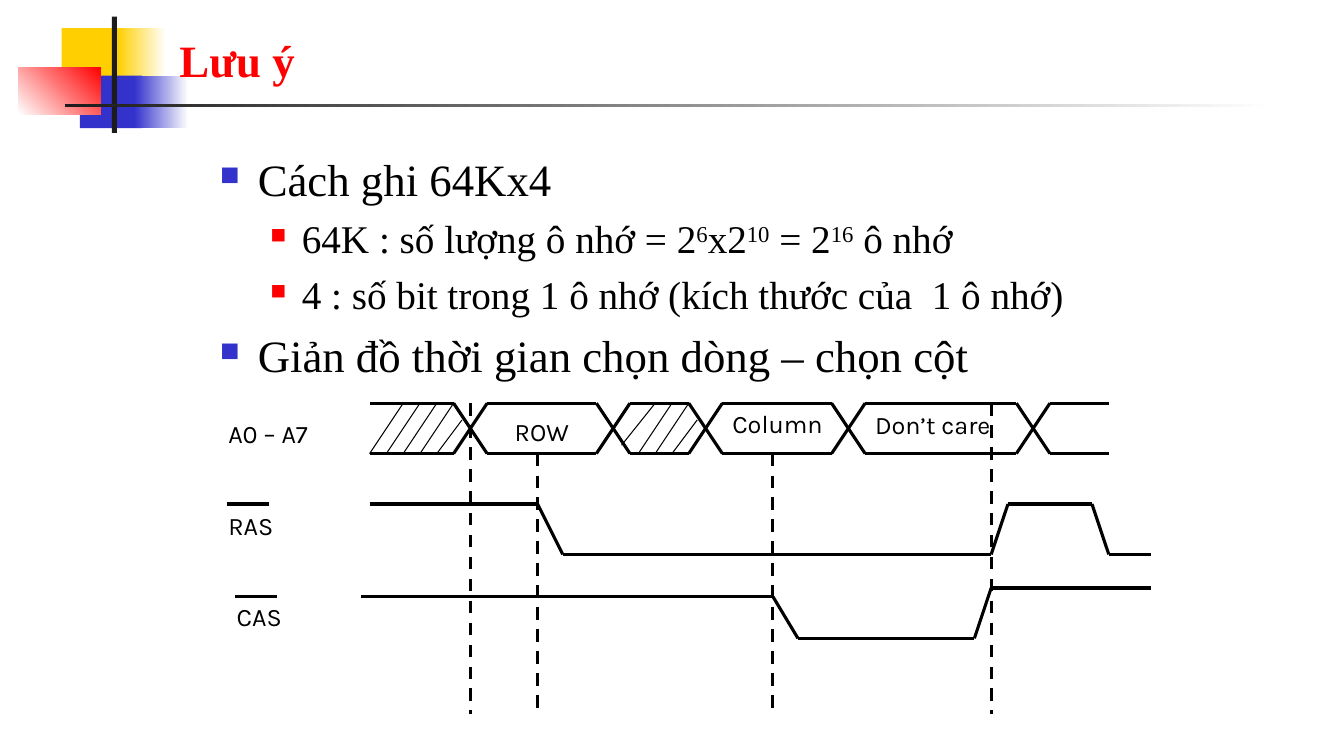
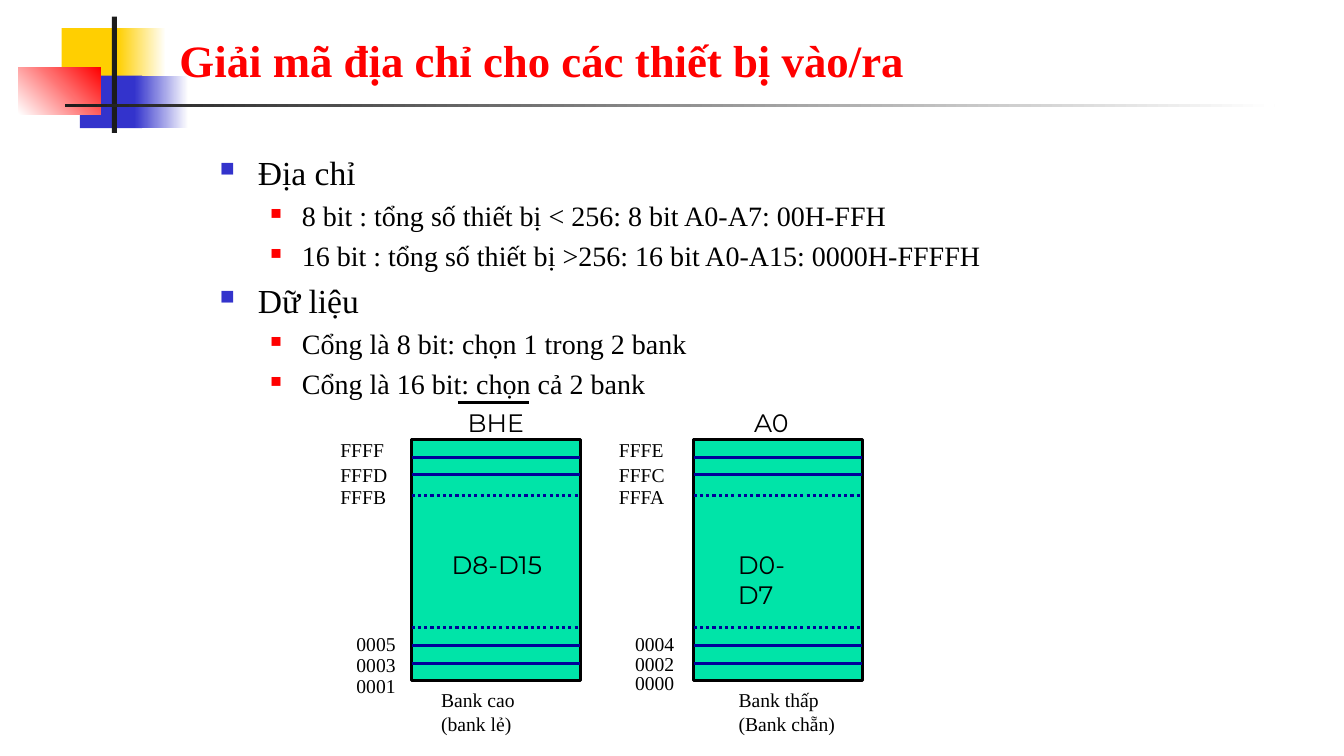
from dataclasses import dataclass
from itertools import pairwise

from lxml import etree
from pptx import Presentation
from pptx.dml.color import RGBColor
from pptx.enum.dml import MSO_LINE
from pptx.enum.shapes import MSO_CONNECTOR, MSO_SHAPE
from pptx.enum.text import MSO_ANCHOR, MSO_AUTO_SIZE, PP_ALIGN
from pptx.oxml.ns import qn
from pptx.util import Pt


@dataclass(frozen=True)
class Theme:
    white: str = "FFFFFF"
    black: str = "000000"
    charcoal: str = "1C1C1C"
    yellow: str = "FFCF01"
    blue: str = "3333CC"
    red: str = "FF0000"
    green: str = "00E4A8"
    navy: str = "000099"
    text_font: str = "Times New Roman"
    signal_font: str = "Karla"
    bank_font: str = "Montserrat"
    title_size: int = 32
    label_size: int = 18
    address_size: int = 14
    thick: float = 2.25
    thin: float = 0.75


@dataclass(frozen=True)
class Level:
    margin: float
    hanging: float
    colour: str
    bullet_percent: int


@dataclass(frozen=True)
class Bank:
    left: float
    select: str
    select_left: float
    data: str
    data_left: float
    data_width: float
    caption: tuple
    caption_left: float
    address_left: float
    high_addresses: tuple
    low_addresses: tuple
    low_step: float


THEME = Theme()
LEVELS = (Level(27, 27, THEME.blue, 60), Level(58.5, 22.5, THEME.red, 55))

BUS_TOP, BUS_BOTTOM = 288, 324
BUS_LEFT, BUS_RIGHT = 264, 792
CROSSINGS = (324, 426, 492, 594, 726)
CROSSING_WIDTH = 24

BANK_TOP, BANK_WIDTH, BANK_HEIGHT = 314, 120.5, 172
SOLID_ROWS = (327, 339, 461, 474)
DOTTED_ROWS = (354, 448.5)
BANKS = (
    Bank(294, "BHE", 327, "D8-D15", 315.5, 84,
         ("Bank cao", "(bank lẻ)"), 308, 236,
         ("FFFF", "FFFD", "FFFB"), ("0005", "0003", "0001"), 15),
    Bank(495.5, "A0", 531.5, "D0-D7", 520, 72.5,
         ("Bank thấp", "(Bank chẵn)"), 520.5, 435,
         ("FFFE", "FFFC", "FFFA"), ("0004", "0002", "0000"), 14),
)


def rgb(colour):
    return RGBColor.from_string(colour)


def style(font, name, size, colour=THEME.black, bold=False):
    font.name, font.size, font.bold = name, Pt(size), bold
    font.color.rgb = rgb(colour)


def add_block(slide, left, top, width, height, *colours, angle=0):
    """Add a borderless rectangle: one colour is solid, two make a gradient."""
    block = slide.shapes.add_shape(
        MSO_SHAPE.RECTANGLE, Pt(left), Pt(top), Pt(width), Pt(height))
    block.shadow.inherit = False
    block.line.fill.background()
    if len(colours) == 1:
        block.fill.solid()
        block.fill.fore_color.rgb = rgb(colours[0])
    else:
        block.fill.gradient()
        block.fill.gradient_angle = angle
        for stop, colour in zip(block.fill.gradient_stops, colours):
            stop.color.rgb = rgb(colour)
    return block


def add_line(slide, start, end, width=THEME.thick, colour=THEME.black, dash=None):
    line = slide.shapes.add_connector(
        MSO_CONNECTOR.STRAIGHT, *(Pt(value) for value in (*start, *end)))
    line.line.width = Pt(width)
    line.line.color.rgb = rgb(colour)
    if dash:
        line.line.dash_style = dash
    etree.SubElement(line.element.spPr, qn("a:effectLst"))


def add_trace(slide, *points):
    for start, end in pairwise(points):
        add_line(slide, start, end)


def add_label(slide, left, top, width, lines, font_name, size, align=PP_ALIGN.LEFT):
    box = slide.shapes.add_textbox(
        Pt(left), Pt(top), Pt(width), Pt(7.2 + 1.2 * size * len(lines)))
    frame = box.text_frame
    frame.word_wrap = True
    for index, line in enumerate(lines):
        paragraph = frame.add_paragraph() if index else frame.paragraphs[0]
        paragraph.alignment = align
        run = paragraph.add_run()
        run.text = line
        style(run.font, font_name, size)


def set_bullet(paragraph, level):
    props = paragraph._p.get_or_add_pPr()
    props.set("marL", str(Pt(level.margin)))
    props.set("indent", str(-Pt(level.hanging)))
    colour = etree.SubElement(props, qn("a:buClr"))
    etree.SubElement(colour, qn("a:srgbClr"), val=level.colour)
    etree.SubElement(props, qn("a:buSzPct"), val=str(level.bullet_percent * 1000))
    etree.SubElement(props, qn("a:buChar"), char="■")


def add_bullets(slide, height, sizes, items):
    """Add items of (level, runs); every second run is a superscript."""
    box = slide.shapes.add_textbox(Pt(150), Pt(105), Pt(675), Pt(height))
    frame = box.text_frame
    frame.word_wrap = True
    for index, (depth, runs) in enumerate(items):
        paragraph = frame.add_paragraph() if index else frame.paragraphs[0]
        paragraph.level = depth
        set_bullet(paragraph, LEVELS[depth])
        if index:
            paragraph.space_before = Pt(round(0.23 * sizes[depth], 1))
        for position, text in enumerate(runs):
            run = paragraph.add_run()
            run.text = text
            style(run.font, THEME.text_font, sizes[depth])
            if position % 2:
                run._r.get_or_add_rPr().set("baseline", "30000")


def decorate_layout(layout, slide):
    """Draw the shared ornament and move it from the slide into its layout."""
    for placeholder in list(layout.placeholders):
        if placeholder.placeholder_format.idx:
            placeholder.element.getparent().remove(placeholder.element)
    ornament = (
        add_block(slide, 44, 20, 46, 37.5, THEME.yellow),
        add_block(slide, 84, 20, 34.5, 37.5, THEME.yellow, THEME.white),
        add_block(slide, 57, 54, 44.5, 37.5, THEME.blue),
        add_block(slide, 96, 54, 38.5, 37.5, THEME.blue, THEME.white),
        add_block(slide, 13, 48, 59, 33.5, THEME.white, THEME.red, angle=45),
        add_block(slide, 80, 12, 3.5, 83, THEME.charcoal),
        add_block(slide, 46.5, 74, 864, 2.25, THEME.charcoal, THEME.white),
    )
    for block in ornament:
        layout.shapes.element.append(block.element)


def set_title(slide, text):
    title = slide.shapes.title
    title.left, title.top, title.width, title.height = Pt(121), Pt(16.5), Pt(818), Pt(49)
    frame = title.text_frame
    frame.auto_size = MSO_AUTO_SIZE.NONE
    frame.vertical_anchor = MSO_ANCHOR.BOTTOM
    paragraph = frame.paragraphs[0]
    paragraph.alignment = PP_ALIGN.LEFT
    run = paragraph.add_run()
    run.text = text
    style(run.font, THEME.text_font, THEME.title_size, THEME.red, bold=True)


def add_address_bus(slide):
    starts = (BUS_LEFT, *(x + CROSSING_WIDTH for x in CROSSINGS))
    for start, end in zip(starts, (*CROSSINGS, BUS_RIGHT)):
        for y in (BUS_TOP, BUS_BOTTOM):
            add_line(slide, (start, y), (end, y))
    for x in CROSSINGS:
        add_line(slide, (x, BUS_TOP), (x + CROSSING_WIDTH, BUS_BOTTOM))
        add_line(slide, (x, BUS_BOTTOM), (x + CROSSING_WIDTH, BUS_TOP))


def add_hatching(slide):
    full_strokes = [(x, BUS_TOP, x - 24, BUS_BOTTOM)
                    for x in (288, 300, 312, 324, 480, 492)]
    clipped_strokes = [(468, BUS_TOP, 444, 318),
                       (330, 300, 312, BUS_BOTTOM), (498, 300, 480, BUS_BOTTOM)]
    for x1, y1, x2, y2 in full_strokes + clipped_strokes:
        add_line(slide, (x1, y1), (x2, y2), THEME.thin)


def add_timing_diagram(slide):
    add_address_bus(slide)
    add_hatching(slide)
    for x, top in ((336, BUS_TOP), (384, BUS_BOTTOM), (552, BUS_BOTTOM), (708, BUS_TOP)):
        add_line(slide, (x, top), (x, 510), dash=MSO_LINE.DASH)
    add_trace(slide, (264, 360), (384, 360), (402, 396), (708, 396),
              (720, 360), (780, 360), (792, 396), (822, 396))
    add_trace(slide, (258, 426), (552, 426), (570, 456), (696, 456),
              (708, 420), (822, 420))
    for left, top, width, text, align in (
        (354, 294, 66, "ROW", PP_ALIGN.CENTER),
        (516, 288, 84, "Column", PP_ALIGN.LEFT),
        (618, 289, 108, "Don’t care", PP_ALIGN.LEFT),
        (156, 295.5, 90, "A0 – A7", PP_ALIGN.LEFT),
        (156, 361, 96, "RAS", PP_ALIGN.LEFT),
        (162, 426, 66, "CAS", PP_ALIGN.LEFT),
    ):
        add_label(slide, left, top, width, (text,),
                  THEME.signal_font, THEME.label_size, align)
    for x, y in ((162, 360), (168, 426)):
        add_line(slide, (x, y), (x + 30, y))


def add_bank(slide, bank):
    memory = add_block(slide, bank.left, BANK_TOP, BANK_WIDTH, BANK_HEIGHT, THEME.green)
    memory.line.color.rgb = rgb(THEME.black)
    memory.line.width = Pt(THEME.thick)
    for rows, dash in ((SOLID_ROWS, None), (DOTTED_ROWS, MSO_LINE.ROUND_DOT)):
        for y in rows:
            add_line(slide, (bank.left, y), (bank.left + BANK_WIDTH, y),
                     colour=THEME.navy, dash=dash)
    for top, address in zip((309.5, 327, 342.5), bank.high_addresses):
        add_label(slide, bank.address_left, top, 58, (address,),
                  THEME.text_font, THEME.address_size)
    for index, address in enumerate(bank.low_addresses):
        add_label(slide, bank.address_left + 11.5, 448 + index * bank.low_step, 46,
                  (address,), THEME.text_font, THEME.address_size)
    add_label(slide, bank.caption_left, 488, 90, bank.caption,
              THEME.text_font, THEME.address_size)
    add_label(slide, bank.select_left, 287.5, 60, (bank.select,),
              THEME.bank_font, THEME.label_size)
    add_label(slide, bank.data_left, 389, bank.data_width, (bank.data,),
              THEME.bank_font, THEME.label_size)


def main():
    deck = Presentation()
    deck.slide_width, deck.slide_height = Pt(960), Pt(540)
    layout = deck.slide_layouts[5]

    timing = deck.slides.add_slide(layout)
    decorate_layout(layout, timing)
    set_title(timing, "Lưu ý")
    add_bullets(timing, 174, (32, 28), (
        (0, ("Cách ghi 64Kx4",)),
        (1, ("64K : số lượng ô nhớ = 2", "6", "x2", "10", " = 2", "16", " ô nhớ")),
        (1, ("4 : số bit trong 1 ô nhớ (kích thước của  1 ô nhớ)",)),
        (0, ("Giản đồ thời gian chọn dòng – chọn cột",)),
    ))
    add_timing_diagram(timing)

    decoding = deck.slides.add_slide(layout)
    set_title(decoding, "Giải mã địa chỉ cho các thiết bị vào/ra")
    add_bullets(decoding, 435, (24, 20), (
        (0, ("Địa chỉ",)),
        (1, ("8 bit : tổng số thiết bị < 256: 8 bit A0-A7: 00H-FFH",)),
        (1, ("16 bit : tổng số thiết bị >256: 16 bit A0-A15: 0000H-FFFFH",)),
        (0, ("Dữ liệu",)),
        (1, ("Cổng là 8 bit: chọn 1 trong 2 bank",)),
        (1, ("Cổng là 16 bit: chọn cả 2 bank",)),
    ))
    for bank in BANKS:
        add_bank(decoding, bank)
    add_line(decoding, (327, 287.5), (378, 287.5))

    deck.save("out.pptx")


if __name__ == "__main__":
    main()
